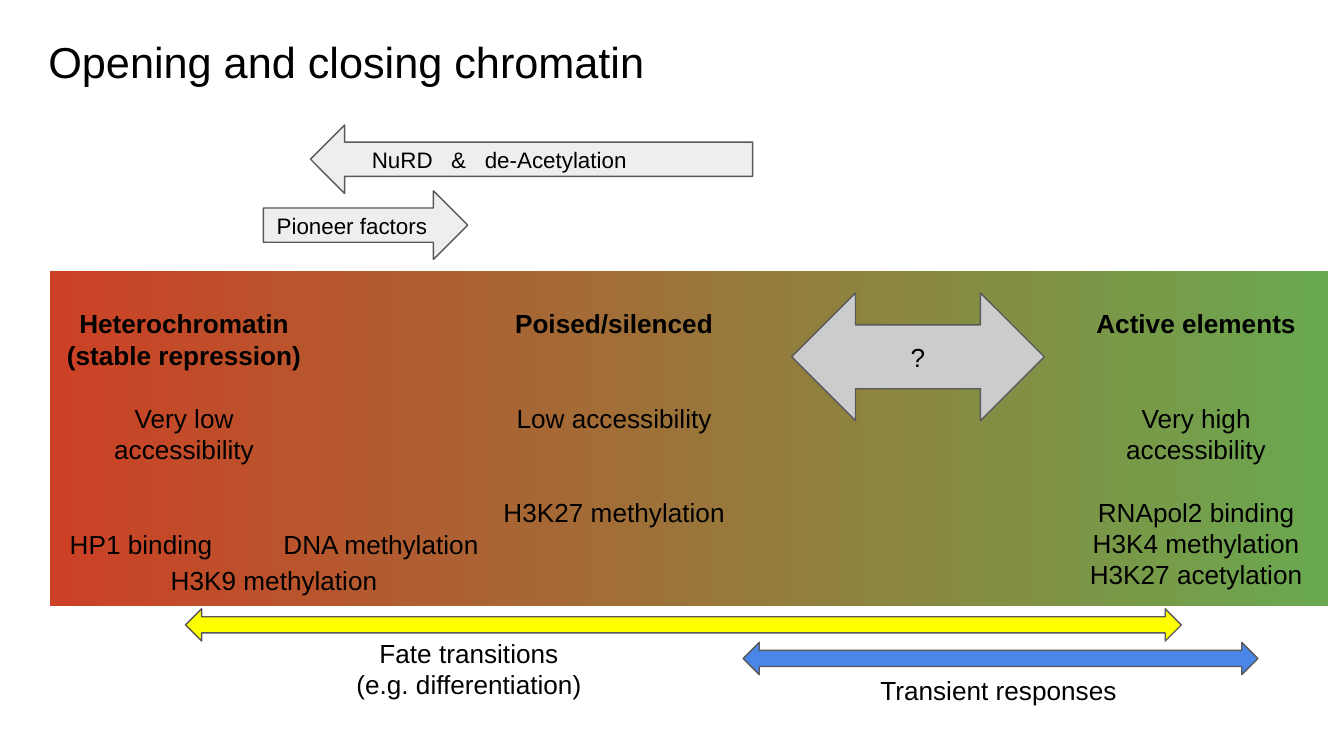
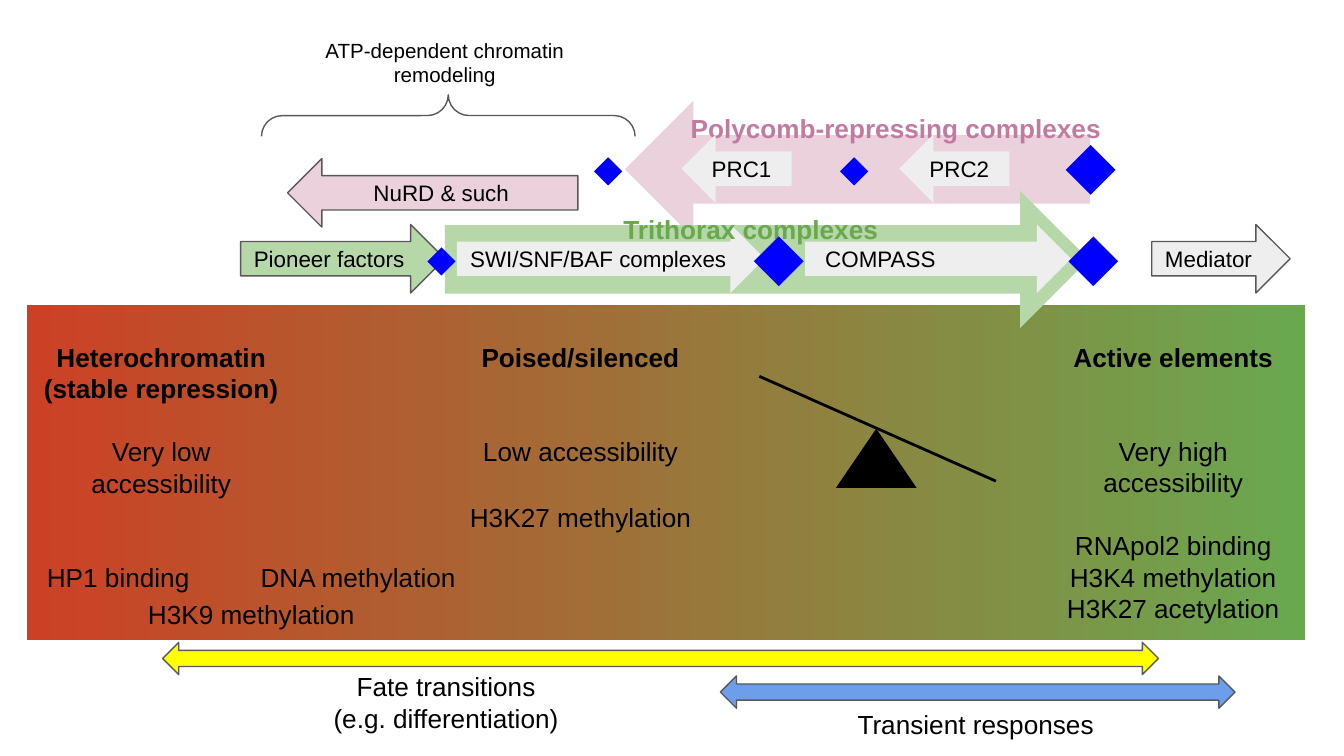
"""Build two slides on the opening and closing of chromatin."""
from dataclasses import dataclass
from typing import Any, Optional

import lxml.etree
import pptx
import pptx.dml.color
import pptx.enum.shapes
import pptx.enum.text
import pptx.oxml.ns
import pptx.util

Inches = pptx.util.Inches
Pt = pptx.util.Pt
MSO = pptx.enum.shapes.MSO_SHAPE
ALIGN = pptx.enum.text.PP_ALIGN
ANCHOR = pptx.enum.text.MSO_ANCHOR
qn = pptx.oxml.ns.qn

COLORS = {
    "black": "000000", "outline": "595959", "closed": "CC4125", "open": "6AA84F",
    "yellow": "FFFF00", "blue": "4A86E8", "light_blue": "6D9EEB",
    "gray": "CCCCCC", "light_gray": "EEEEEE", "pink": "EAD1DC",
    "mauve": "C27BA0", "light_green": "B6D7A8", "diamond": "0000FF",
}
FONT = "Arial"
LINE_FACTOR = 1.2
INSET = 0.1


@dataclass(frozen=True)
class Line:
    text: str
    bold: bool = False
    gap: int = 0


@dataclass(frozen=True)
class Label:
    x: float
    y: float
    w: float
    h: float
    lines: tuple[Line, ...]
    size: float = 14
    color: str = "black"
    align: Any = ALIGN.CENTER


@dataclass(frozen=True)
class Block:
    kind: Any
    x: float
    y: float
    w: float
    h: float
    fill: Optional[str]
    line: Optional[str] = "outline"
    text: str = ""
    size: float = 12
    align: Any = ALIGN.LEFT
    left: float = INSET
    tabs: tuple[float, ...] = ()


def rgb(name: str) -> pptx.dml.color.RGBColor:
    return pptx.dml.color.RGBColor.from_string(COLORS[name])


def write_text(sp: Any, lines: tuple[Line, ...], *, size: float, color: str = "black",
               align: Any = ALIGN.CENTER, anchor: Any = ANCHOR.TOP,
               left: float = INSET, tabs: tuple[float, ...] = ()) -> None:
    tf = sp.text_frame
    tf.word_wrap = True
    tf.auto_size = pptx.enum.text.MSO_AUTO_SIZE.NONE
    tf.vertical_anchor = anchor
    tf.margin_left = Inches(left)
    tf.margin_right = tf.margin_top = tf.margin_bottom = Inches(INSET)
    for i, line in enumerate(lines):
        p = tf.add_paragraph() if i else tf.paragraphs[0]
        p.alignment = align
        p.line_spacing = Pt(round(size * LINE_FACTOR, 1))
        if line.gap:
            p.space_before = Pt(round(size * LINE_FACTOR * line.gap, 1))
        if tabs:
            tab_list = lxml.etree.SubElement(p._p.get_or_add_pPr(), qn("a:tabLst"))
            for tab in tabs:
                lxml.etree.SubElement(tab_list, qn("a:tab"), pos=str(Inches(tab)), algn="l")
        r = p.add_run()
        r.text = line.text
        r.font.name = FONT
        r.font.size = Pt(size)
        r.font.bold = line.bold
        r.font.color.rgb = rgb(color)


def add_label(s: Any, b: Label, dx: float = 0, dy: float = 0) -> None:
    sp = s.shapes.add_textbox(Inches(b.x + dx), Inches(b.y + dy), Inches(b.w), Inches(b.h))
    write_text(sp, b.lines, size=b.size, color=b.color, align=b.align)


def add_block(s: Any, b: Block, dx: float = 0, dy: float = 0) -> Any:
    sp = s.shapes.add_shape(b.kind, Inches(b.x + dx), Inches(b.y + dy),
                            Inches(b.w), Inches(b.h))
    sp.shadow.inherit = False
    if b.fill:
        sp.fill.solid()
        sp.fill.fore_color.rgb = rgb(b.fill)
    else:
        sp.fill.background()
    if b.line:
        sp.line.color.rgb = rgb(b.line)
        sp.line.width = Pt(0.75)
    else:
        sp.line.fill.background()
    if b.text:
        write_text(sp, (Line(b.text),), size=b.size, align=b.align,
                   anchor=ANCHOR.MIDDLE, left=b.left, tabs=b.tabs)
    return sp


def add_all(s: Any, items: tuple[Any, ...], dx: float = 0, dy: float = 0) -> None:
    for item in items:
        draw = add_label if isinstance(item, Label) else add_block
        draw(s, item, dx, dy)


BAND = Block(MSO.RECTANGLE, 0.37, 2.02, 9.51, 2.49, "closed", None)
STATES = (
    Label(0.39, 2.19, 1.96, 1.85, (
        Line("Heterochromatin", True), Line("(stable repression)", True),
        Line("Very low accessibility", gap=1))),
    Label(7.92, 2.19, 1.96, 2.32, (
        Line("Active elements", True), Line("Very high accessibility", gap=2),
        Line("RNApol2 binding", gap=1), Line("H3K4 methylation"),
        Line("H3K27 acetylation"))),
    Label(0.91, 4.1, 2.26, 0.44, (Line("H3K9 methylation"),)),
    Label(1.93, 3.83, 1.81, 0.44, (Line("DNA methylation"),)),
    Label(0.37, 3.83, 1.36, 0.44, (Line("HP1 binding"),)),
    Block(MSO.LEFT_RIGHT_ARROW, 1.38, 4.53, 7.41, 0.24, "yellow"),
    Label(2.27, 4.64, 2.44, 0.67, (Line("Fate transitions"), Line("(e.g. differentiation)"))),
    Label(6.21, 4.92, 2.44, 0.44, (Line("Transient responses"),)),
)
POISED = (Line("Poised/silenced", True), Line("Low accessibility", gap=2))
H3K27 = "H3K27 methylation"


def add_landscape(s: Any, transient_fill: str, pioneer_fill: str,
                  dx: float = 0, dy: float = 0) -> None:
    band = add_block(s, BAND, dx, dy)
    band.fill.gradient()
    band.fill.gradient_angle = 0
    for stop, name in zip(band.fill.gradient_stops, ("closed", "open")):
        stop.color.rgb = rgb(name)
    add_all(s, STATES + (
        Block(MSO.LEFT_RIGHT_ARROW, 5.53, 4.78, 3.83, 0.24, transient_fill),
        Block(MSO.RIGHT_ARROW, 1.96, 1.42, 1.52, 0.51, pioneer_fill, text="Pioneer factors"),
    ), dx, dy)


def build_overview(prs: Any) -> None:
    s = prs.slides.add_slide(prs.slide_layouts[5])
    title = s.shapes.title
    title.left, title.top = Inches(0.26), Inches(0.14)
    title.width, title.height = Inches(9.32), Inches(0.63)
    write_text(title, (Line("Opening and closing chromatin"),), size=23.2,
               align=ALIGN.LEFT, anchor=ANCHOR.MIDDLE)
    add_landscape(s, "blue", "light_gray")
    add_all(s, (
        Label(3.59, 2.19, 1.96, 1.85, POISED + (Line(H3K27, gap=2),)),
        Block(MSO.LEFT_RIGHT_ARROW, 5.89, 2.18, 1.88, 0.95, "gray",
              text="?", size=14, align=ALIGN.CENTER),
        Block(MSO.LEFT_ARROW, 2.31, 0.93, 3.29, 0.51, "light_gray",
              text="NuRD\t&\tde-Acetylation", left=0.33, tabs=(0.59, 0.84)),
    ))


def add_seesaw(s: Any) -> None:
    beam = s.shapes.add_connector(pptx.enum.shapes.MSO_CONNECTOR.STRAIGHT,
                                  Inches(5.65), Inches(2.8), Inches(7.41), Inches(3.58))
    beam.line.color.rgb = rgb("black")
    beam.line.width = Pt(1.5)
    lxml.etree.SubElement(beam._element.spPr, qn("a:effectLst"))
    add_block(s, Block(MSO.ISOSCELES_TRIANGLE, 6.22, 3.19, 0.6, 0.44, "black", None))


def build_complexes(prs: Any) -> None:
    s = prs.slides.add_slide(prs.slide_layouts[6])
    add_landscape(s, "light_blue", "light_green", -0.17, 0.25)
    add_seesaw(s)
    brace = add_block(s, Block(MSO.LEFT_BRACE, 3.18, -0.53, 0.31, 2.78, None))
    brace.adjustments[0] = 0.5
    brace.rotation = 90
    add_all(s, (
        Label(3.34, 2.44, 1.96, 1.14, POISED),
        Label(2.68, 3.63, 3.28, 0.44, (Line(H3K27),)),
        Label(2.27, 0.18, 2.08, 0.57, (Line("ATP-dependent chromatin remodeling"),), size=11),
        Block(MSO.LEFT_ARROW, 2.14, 1.18, 2.16, 0.51, "pink",
              text="NuRD & such", align=ALIGN.CENTER),
        Block(MSO.LEFT_ARROW, 4.65, 0.75, 3.46, 1.02, "pink", None),
        Block(MSO.RIGHT_ARROW, 3.31, 1.42, 4.79, 1.02, "light_green", None),
        Block(MSO.RIGHT_ARROW, 3.4, 1.67, 2.29, 0.51, "light_gray", None,
              "SWI/SNF/BAF complexes"),
        Block(MSO.RIGHT_ARROW, 5.99, 1.67, 1.98, 0.51, "light_gray", None,
              "COMPASS", left=0.15),
        Label(4.54, 1.49, 2.81, 0.44, (Line("Trithorax complexes", True),),
              color="open", align=ALIGN.LEFT),
        Label(5.04, 0.74, 3.35, 0.44, (Line("Polycomb-repressing complexes", True),),
              color="mauve", align=ALIGN.LEFT),
        Block(MSO.LEFT_ARROW, 5.07, 1, 0.82, 0.51, "light_gray", None, "PRC1"),
        Block(MSO.LEFT_ARROW, 6.69, 1, 0.82, 0.51, "light_gray", None, "PRC2"),
        Block(MSO.RIGHT_ARROW, 8.57, 1.67, 1.03, 0.51, "light_gray", text="Mediator"),
    ))
    for x, y, side in ((3.18, 1.84, 0.21), (4.42, 1.17, 0.21), (6.25, 1.17, 0.21),
                       (7.93, 1.08, 0.37), (5.61, 1.76, 0.37), (7.95, 1.76, 0.37)):
        add_block(s, Block(MSO.DIAMOND, x, y, side, side, "diamond", None))


def main() -> None:
    prs = pptx.Presentation()
    prs.slide_width = Inches(10)
    prs.slide_height = Inches(10 * 9 / 16)
    build_overview(prs)
    build_complexes(prs)
    prs.save("out.pptx")


if __name__ == "__main__":
    main()
